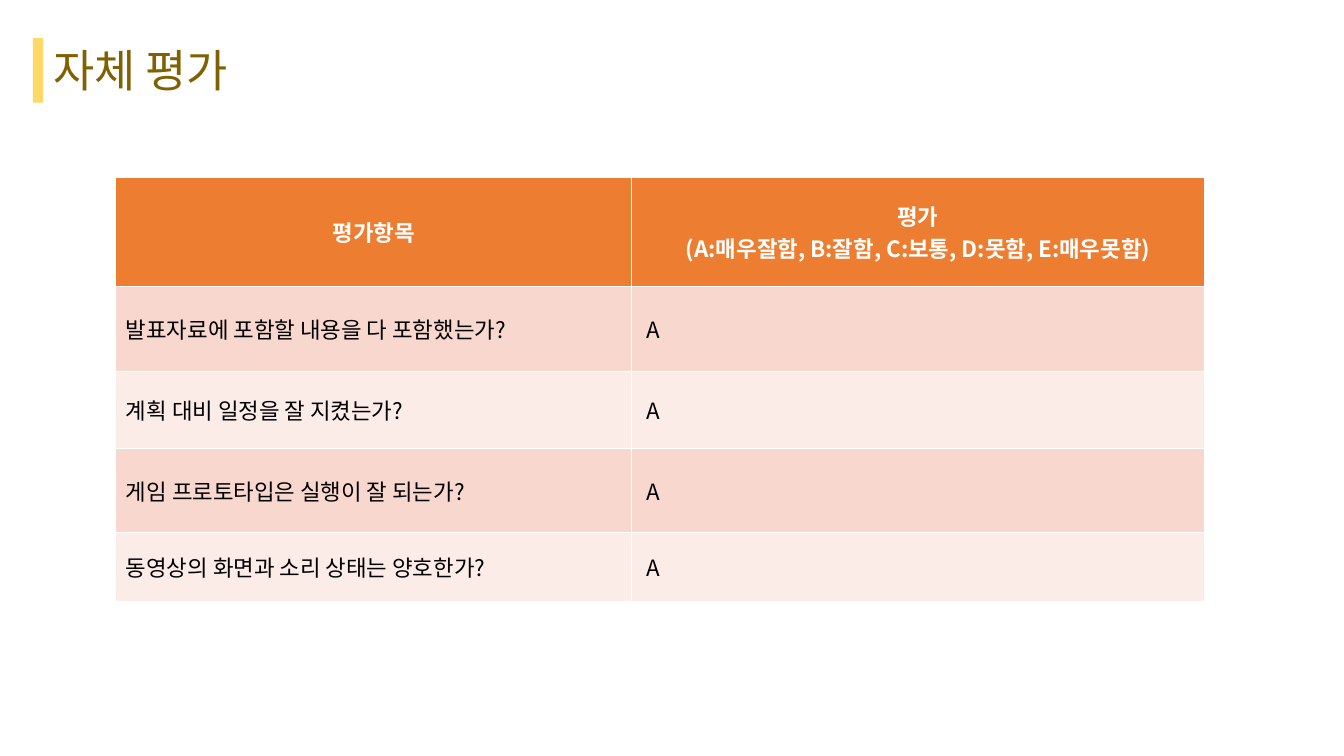
from lxml.etree import SubElement
from pptx import Presentation
from pptx.dml.color import RGBColor
from pptx.enum.shapes import MSO_SHAPE
from pptx.enum.text import MSO_ANCHOR, MSO_AUTO_SIZE, PP_ALIGN
from pptx.oxml.ns import qn
from pptx.util import Cm, Pt

FONT = "Noto Sans CJK KR"
WHITE = RGBColor(0xFF, 0xFF, 0xFF)
BLACK = RGBColor(0x00, 0x00, 0x00)
YELLOW = RGBColor(0xFF, 0xD9, 0x66)
BROWN = RGBColor(0x80, 0x60, 0x00)
ORANGE = RGBColor(0xED, 0x7D, 0x31)
BANDS = [RGBColor(0xFC, 0xEC, 0xE8), RGBColor(0xF8, 0xD7, 0xCE)]


def format_text(paragraph, size, color, bold):
    for run in paragraph.runs:
        for name, value in {"name": FONT, "size": Pt(size), "bold": bold}.items():
            setattr(run.font, name, value)
        run.font.color.rgb = color
        SubElement(run.font._element, qn("a:ea"), typeface=FONT)


presentation = Presentation()
presentation.slide_width = Cm(33.87)
presentation.slide_height = Cm(19.05)
slide = presentation.slides.add_slide(presentation.slide_layouts[6])

accent_bar = slide.shapes.add_shape(MSO_SHAPE.RECTANGLE, Cm(0.83), Cm(0.96), Cm(0.26), Cm(1.63))
accent_bar.shadow.inherit = False
accent_bar.fill.solid()
accent_bar.fill.fore_color.rgb = YELLOW
accent_bar.line.fill.background()

title = slide.shapes.add_textbox(Cm(1.09), Cm(0.96), Cm(5.46), Cm(1.63))
title.text_frame.word_wrap = False
title.text_frame.auto_size = MSO_AUTO_SIZE.SHAPE_TO_FIT_TEXT
title.text_frame.text = "자체 평가"
title_paragraph = title.text_frame.paragraphs[0]
format_text(title_paragraph, 32, BROWN, False)
title_properties = title_paragraph.runs[0].font._element
outline = SubElement(title_properties, qn("a:ln"), w=str(Pt(0.75)))
outline_fill = SubElement(outline, qn("a:solidFill"))
SubElement(outline_fill, qn("a:srgbClr"), val=str(BROWN))
title_properties.insert(0, outline)

evaluation_rows = [
    ("평가항목", "평가\n(A:매우잘함, B:잘함, C:보통, D:못함, E:매우못함)"),
    ("발표자료에 포함할 내용을 다 포함했는가?", " A"),
    ("계획 대비 일정을 잘 지켰는가?", " A"),
    ("게임 프로토타입은 실행이 잘 되는가?", " A"),
    ("동영상의 화면과 소리 상태는 양호한가?", " A"),
]
column_widths = [13.0, 14.43]
row_heights = [2.74, 2.16, 1.93, 2.11, 1.75]

table = slide.shapes.add_table(
    len(row_heights), len(column_widths), Cm(2.92), Cm(4.47),
    Cm(sum(column_widths)), Cm(sum(row_heights)),
).table
for column, width in zip(table.columns, column_widths):
    column.width = Cm(width)
for row_index, (row, height, texts) in enumerate(zip(table.rows, row_heights, evaluation_rows)):
    row.height = Cm(height)
    is_header = row_index == 0
    for cell, text in zip(row.cells, texts):
        cell.text = text
        cell.vertical_anchor = MSO_ANCHOR.MIDDLE
        cell.fill.solid()
        cell.fill.fore_color.rgb = ORANGE if is_header else BANDS[row_index % 2]
        for paragraph in cell.text_frame.paragraphs:
            paragraph.alignment = PP_ALIGN.CENTER if is_header else PP_ALIGN.LEFT
            format_text(paragraph, 16, WHITE if is_header else BLACK, is_header)

presentation.save("out.pptx")
